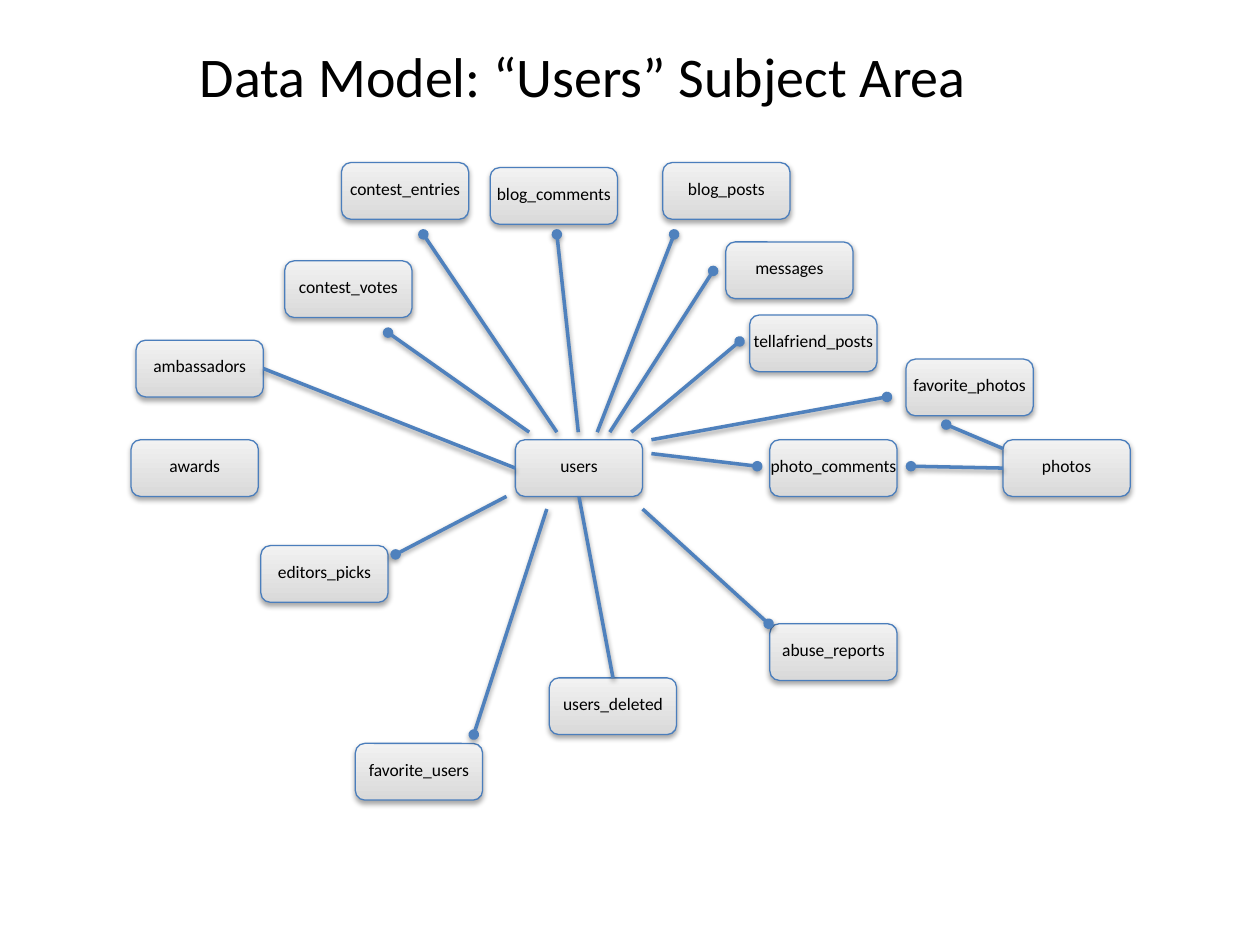
"""Build the data model slide for the "Users" subject area."""
import pptx
import pptx.dml.color
import pptx.enum.dml
import pptx.enum.shapes
import pptx.enum.text
import pptx.oxml
import pptx.oxml.ns
import pptx.util

BLACK = pptx.dml.color.RGBColor(0x00, 0x00, 0x00)
PALE_GREY = pptx.dml.color.RGBColor(0xF2, 0xF2, 0xF2)
MID_GREY = pptx.dml.color.RGBColor(0xD9, 0xD9, 0xD9)
OUTLINE_BLUE = pptx.dml.color.RGBColor(0x4B, 0x7E, 0xBC)
RELATION_BLUE = pptx.dml.color.RGBColor(0x4F, 0x81, 0xBD)

deck = pptx.Presentation()
deck.slide_width = pptx.util.Inches(10)
deck.slide_height = pptx.util.Inches(7.5)
COLUMN = deck.slide_width / 100
ROW = deck.slide_height / 75
ENTITY_COLUMNS, ENTITY_ROWS = 10.1, 4.5
slide = deck.slides.add_slide(deck.slide_layouts[6])


def write(holder, wording, size, frame_format):
    frame = holder.text_frame
    for attribute, value in frame_format.items():
        setattr(frame, attribute, value)
    paragraph = frame.paragraphs[0]
    paragraph.alignment = pptx.enum.text.PP_ALIGN.CENTER
    run = paragraph.add_run()
    run.text = wording
    font_format = {"name": "Calibri", "size": pptx.util.Pt(size)}
    for attribute, value in font_format.items():
        setattr(run.font, attribute, value)
    run.font.color.rgb = BLACK


def cast_shadow(properties, distance, opacity):
    properties.append(pptx.oxml.parse_xml(
        f'<a:effectLst {pptx.oxml.ns.nsdecls("a")}>'
        f'<a:outerShdw blurRad="{pptx.util.Pt(3.1)}" dist="{pptx.util.Pt(distance)}" '
        'dir="5400000" rotWithShape="0"><a:srgbClr val="000000">'
        f'<a:alpha val="{opacity * 1000}"/></a:srgbClr></a:outerShdw></a:effectLst>'))


heading = slide.shapes.add_textbox(
    *(int(length) for length in (1.3 * COLUMN, 3.2 * ROW, 90 * COLUMN, 5.5 * ROW)))
write(heading, "Data Model: “Users” Subject Area", 32, {
    "word_wrap": True,
    "vertical_anchor": pptx.enum.text.MSO_ANCHOR.MIDDLE,
})

entity_places = {
    "abuse_reports": (61.1, 49.5),
    "ambassadors": (10.8, 27),
    "awards": (10.4, 34.9),
    "blog_comments": (38.9, 13.3),
    "blog_posts": (52.6, 12.9),
    "contest_entries": (27.1, 12.9),
    "contest_votes": (22.6, 20.7),
    "editors_picks": (20.7, 43.3),
    "favorite_photos": (71.9, 28.5),
    "favorite_users": (28.2, 59),
    "messages": (57.6, 19.2),
    "photo_comments": (61.1, 34.9),
    "photos": (79.6, 34.9),
    "tellafriend_posts": (59.5, 25),
    "users_deleted": (43.6, 53.8),
    "users": (40.9, 34.9),
}
entity_text = {
    "word_wrap": False,
    "vertical_anchor": pptx.enum.text.MSO_ANCHOR.MIDDLE,
    "margin_left": 0,
    "margin_right": 0,
    "margin_top": 0,
    "margin_bottom": pptx.util.Inches(0.04),
}
entities = {}
for table_name, (column, row) in entity_places.items():
    entity = slide.shapes.add_shape(
        pptx.enum.shapes.MSO_SHAPE.FLOWCHART_ALTERNATE_PROCESS,
        int(column * COLUMN), int(row * ROW),
        int(ENTITY_COLUMNS * COLUMN), int(ENTITY_ROWS * ROW))
    entity.fill.gradient()
    entity.fill.gradient_angle = 90
    for stop, shade, position in zip(entity.fill.gradient_stops, (MID_GREY, PALE_GREY), (0, 1)):
        stop.color.rgb = shade
        stop.position = position
    entity.line.color.rgb = OUTLINE_BLUE
    entity.line.width = pptx.util.Pt(0.75)
    cast_shadow(entity.element.spPr, 1.8, 35)
    write(entity, table_name, 10, entity_text)
    entities[table_name] = entity

TOP, LEFT, BOTTOM, RIGHT = range(4)
relations = [
    ((47.4, 34.3), (53.5, 18.6), None, None),
    ((48.4, 34.3), (56.6, 21.5), None, None),
    ((50.1, 34.3), (58.7, 27.1), None, None),
    ((51.7, 36), (60.1, 37), None, None),
    ((79.6, 37.1), (72.3, 37), ("photos", LEFT), None),
    ((51, 40.4), (61, 49.5), None, None),
    ((45.9, 39.4), (48.7, 53.8), ("users", BOTTOM), ("users_deleted", TOP)),
    ((43.4, 40.4), (37.6, 58.3), None, None),
    ((51.7, 34.9), (70.4, 31.5), None, None),
    ((79.6, 35.6), (75.1, 33.7), None, None),
    ((45.9, 34.3), (44.2, 18.6), None, None),
    ((44.2, 34.3), (33.6, 18.6), None, None),
    ((42, 34.3), (30.8, 26.4), None, None),
    ((20.9, 29.3), (40.9, 37.1), ("ambassadors", RIGHT), ("users", LEFT)),
    ((40.2, 39.4), (31.4, 44), None, None),
]
for (start_column, start_row), (end_column, end_row), source, target in relations:
    relation = slide.shapes.add_connector(
        pptx.enum.shapes.MSO_CONNECTOR.STRAIGHT,
        int(start_column * COLUMN), int(start_row * ROW),
        int(end_column * COLUMN), int(end_row * ROW))
    relation.line.color.rgb = RELATION_BLUE
    relation.line.width = pptx.util.Pt(2)
    if source:
        relation.begin_connect(entities[source[0]], source[1])
    if target:
        relation.end_connect(entities[target[0]], target[1])
    else:
        relation.line._get_or_add_ln().append(pptx.oxml.parse_xml(
            f'<a:tailEnd {pptx.oxml.ns.nsdecls("a")} type="oval"/>'))
    cast_shadow(relation.element.spPr, 1.6, 38)

deck.save("out.pptx")
